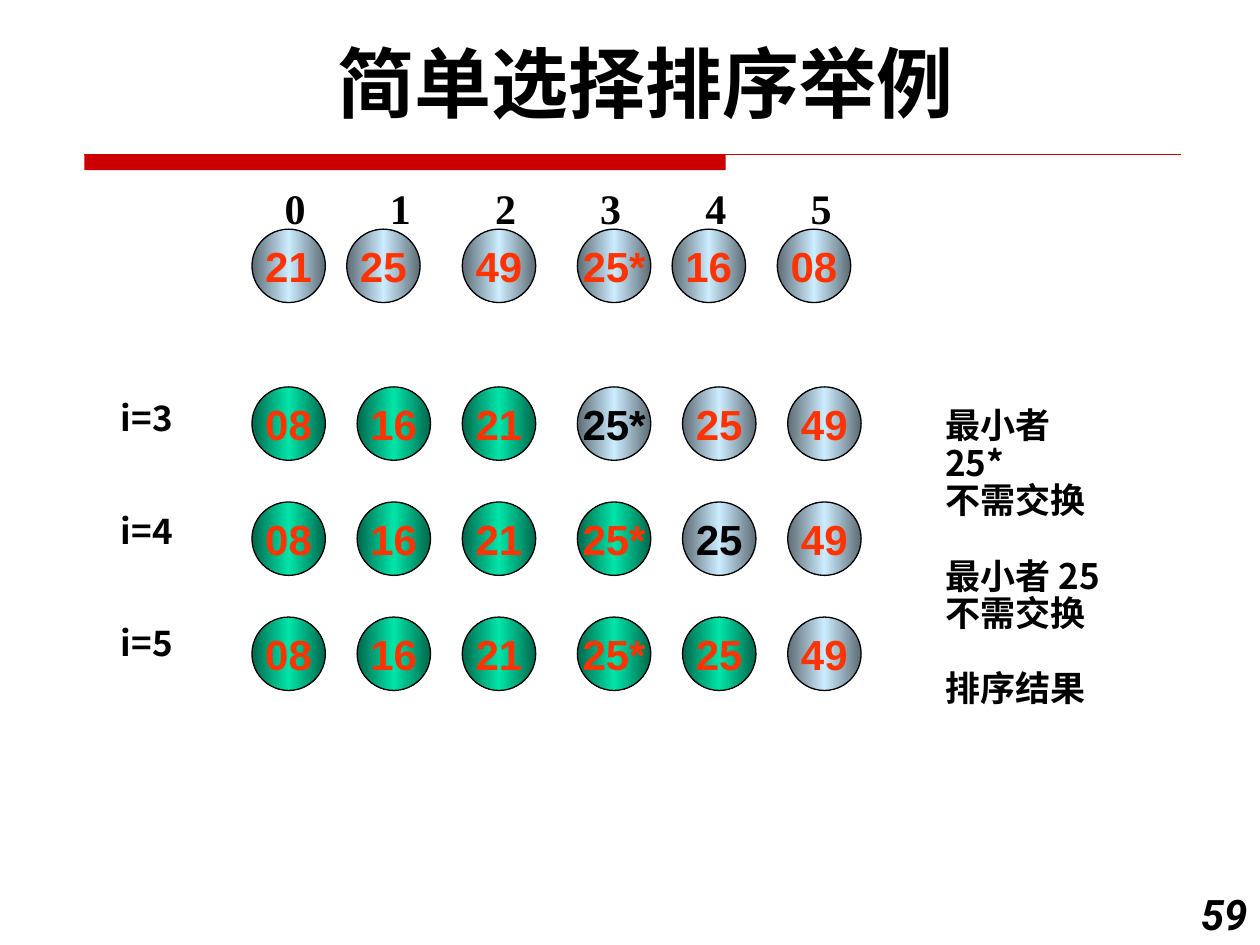
import copy
from dataclasses import dataclass

import pptx
import pptx.dml.color
import pptx.enum.shapes
import pptx.enum.text
import pptx.oxml
import pptx.oxml.ns
import pptx.util

Cm = pptx.util.Cm
Pt = pptx.util.Pt
qn = pptx.oxml.ns.qn
ALIGN = pptx.enum.text.PP_ALIGN
ANCHOR = pptx.enum.text.MSO_ANCHOR


@dataclass(frozen=True)
class Theme:
    ink: str = "000000"
    value: str = "FF3300"
    rule: str = "CC0000"
    pending: tuple = ("5D6C74", "CCECFF", "5D6C74")
    done: tuple = ("00684C", "00E4A8", "00684C")
    title_size: float = 44
    value_size: float = 24
    note_size: float = 20
    note_pitch: float = 21.5
    line_width: float = 0.75
    cjk: str = "Noto Sans CJK SC"
    heading: str = "Roboto"
    digits: str = "Times New Roman"
    ball: str = "Arial"


@dataclass(frozen=True)
class Pass:
    top: float
    values: str
    done: int = 0
    current: int = -1
    shifted: tuple = ()


THEME = Theme()
LEFT, STEP, GROUP_GAP, SHIFT, BALL = 5.08, 2.12, 0.2, 0.21, 1.48
PASS_TOP, PASS_STEP = 7.8, 2.32
SORTED = "08 16 21 25* 25 49"
PASSES = [
    Pass(4.62, "21 25 49 25* 16 08", shifted=(1, 4, 5)),
    Pass(PASS_TOP, SORTED, done=3, current=3),
    Pass(PASS_TOP + PASS_STEP, SORTED, done=4, current=4),
    Pass(PASS_TOP + 2 * PASS_STEP, SORTED, done=5),
]


def rgb(value: str):
    return pptx.dml.color.RGBColor.from_string(value)


def put_text(tf, text: str, *, size: float, font: str, color: str = THEME.ink,
             italic: bool = False, align=ALIGN.LEFT, anchor=ANCHOR.TOP,
             wrap: bool = True, pitch: float = 0, before: tuple = (),
             tabs: tuple = (), plain_list: bool = False) -> None:
    tf.word_wrap = wrap
    tf.auto_size = pptx.enum.text.MSO_AUTO_SIZE.NONE
    tf.vertical_anchor = anchor
    for i, line in enumerate(text.split("\n")):
        p = tf.paragraphs[0] if i == 0 else tf.add_paragraph()
        pPr = p._p.get_or_add_pPr()
        if plain_list:
            pPr.set("marL", "0")
            pPr.set("indent", "0")
            pptx.oxml.ns.qn("a:buNone")
            pPr.append(pptx.oxml.parse_xml(f'<a:buNone {pptx.oxml.ns.nsdecls("a")}/>'))
        if tabs:
            stops = "".join(f'<a:tab pos="{Cm(t)}" algn="l"/>' for t in tabs)
            pPr.append(pptx.oxml.parse_xml(
                f'<a:tabLst {pptx.oxml.ns.nsdecls("a")}>{stops}</a:tabLst>'))
        p.alignment = align
        p.space_before = Pt(before[i] if before else 0)
        if pitch:
            p.line_spacing = Pt(pitch)
        r = p.add_run()
        r.text = line
        r.font.size = Pt(size)
        r.font.name = font
        r.font.bold = True
        r.font.italic = italic
        r.font.color.rgb = rgb(color)
        rPr = r._r.get_or_add_rPr()
        rPr.append(pptx.oxml.parse_xml(
            f'<a:ea {pptx.oxml.ns.nsdecls("a")} typeface="{THEME.cjk}"/>'))


def place(sp, left: float, top: float, width: float, height: float):
    sp.left, sp.top, sp.width, sp.height = map(Cm, (left, top, width, height))
    return sp.text_frame


def add_box(s, left: float, top: float, width: float, height: float):
    return s.shapes.add_textbox(*map(Cm, (left, top, width, height))).text_frame


def add_ball(s, left: float, top: float, text: str, colors: tuple, color: str) -> None:
    sp = s.shapes.add_shape(pptx.enum.shapes.MSO_SHAPE.OVAL,
                            Cm(left), Cm(top), Cm(BALL), Cm(BALL))
    sp.shadow.inherit = False
    sp.fill.gradient()
    sp.fill.gradient_angle = 0
    stops = sp._element.spPr.find(qn("a:gradFill")).find(qn("a:gsLst"))
    stops.append(copy.deepcopy(stops[0]))
    for stop, value, position in zip(sp.fill.gradient_stops, colors, (0, 0.5, 1)):
        stop.color.rgb = rgb(value)
        stop.position = position
    sp.line.color.rgb = rgb(THEME.ink)
    sp.line.width = Pt(THEME.line_width)
    put_text(sp.text_frame, text, size=THEME.value_size, font=THEME.ball, color=color,
             align=ALIGN.CENTER, anchor=ANCHOR.MIDDLE, wrap=False)


def add_pass(s, row: Pass) -> None:
    for i, value in enumerate(row.values.split()):
        left = LEFT + STEP * i + GROUP_GAP * (i > 2) - SHIFT * (i in row.shifted)
        add_ball(s, left, row.top, value,
                 THEME.done if i < row.done else THEME.pending,
                 THEME.ink if i == row.current else THEME.value)


def add_rule(s) -> None:
    bar = s.shapes.add_shape(pptx.enum.shapes.MSO_SHAPE.RECTANGLE,
                             Cm(1.7), Cm(3.12), Cm(12.93), Cm(0.31))
    bar.shadow.inherit = False
    bar.fill.solid()
    bar.fill.fore_color.rgb = rgb(THEME.rule)
    bar.line.fill.background()
    line = s.shapes.add_connector(pptx.enum.shapes.MSO_CONNECTOR.STRAIGHT,
                                  Cm(1.7), Cm(3.12), Cm(23.8), Cm(3.12))
    line.line.color.rgb = rgb(THEME.rule)
    line.line.width = Pt(THEME.line_width)
    line._element.spPr.append(pptx.oxml.parse_xml(
        f'<a:effectLst {pptx.oxml.ns.nsdecls("a")}/>'))


def main() -> None:
    prs = pptx.Presentation()
    prs.slide_width, prs.slide_height = Cm(25.4), Cm(19.05)
    s = prs.slides.add_slide(prs.slide_layouts[3])
    title, labels, notes = s.placeholders
    put_text(place(title, 1.27, 0.58, 23.5, 2.13), "简单选择排序举例",
             size=THEME.title_size, font=THEME.heading,
             align=ALIGN.CENTER, anchor=ANCHOR.MIDDLE)
    add_rule(s)
    put_text(add_box(s, 5.49, 3.56, 12.4, 1.27), "\t".join("012345"),
             size=THEME.value_size, font=THEME.digits,
             tabs=tuple(STEP * i for i in range(1, 6)))
    for row in PASSES:
        add_pass(s, row)
    gap = THEME.note_pitch
    list_format = dict(size=THEME.note_size, font=THEME.cjk, pitch=gap, plain_list=True)
    put_text(place(labels, 2.18, 7.95, 2.39, 7.19), "i=3\ni=4\ni=5",
             before=(0, 2 * gap, 2 * gap), **list_format)
    put_text(place(notes, 18.8, 8.1, 3.76, 5.64),
             "最小者 25*\n不需交换\n最小者 25\n不需交换\n排序结果",
             before=(0, 0, gap, 0, gap), **list_format)
    put_text(add_box(s, 23.7, 17.78, 1.7, 1.27), "59", size=THEME.value_size,
             font=THEME.heading, italic=True, align=ALIGN.RIGHT)
    prs.save("out.pptx")


if __name__ == "__main__":
    main()
